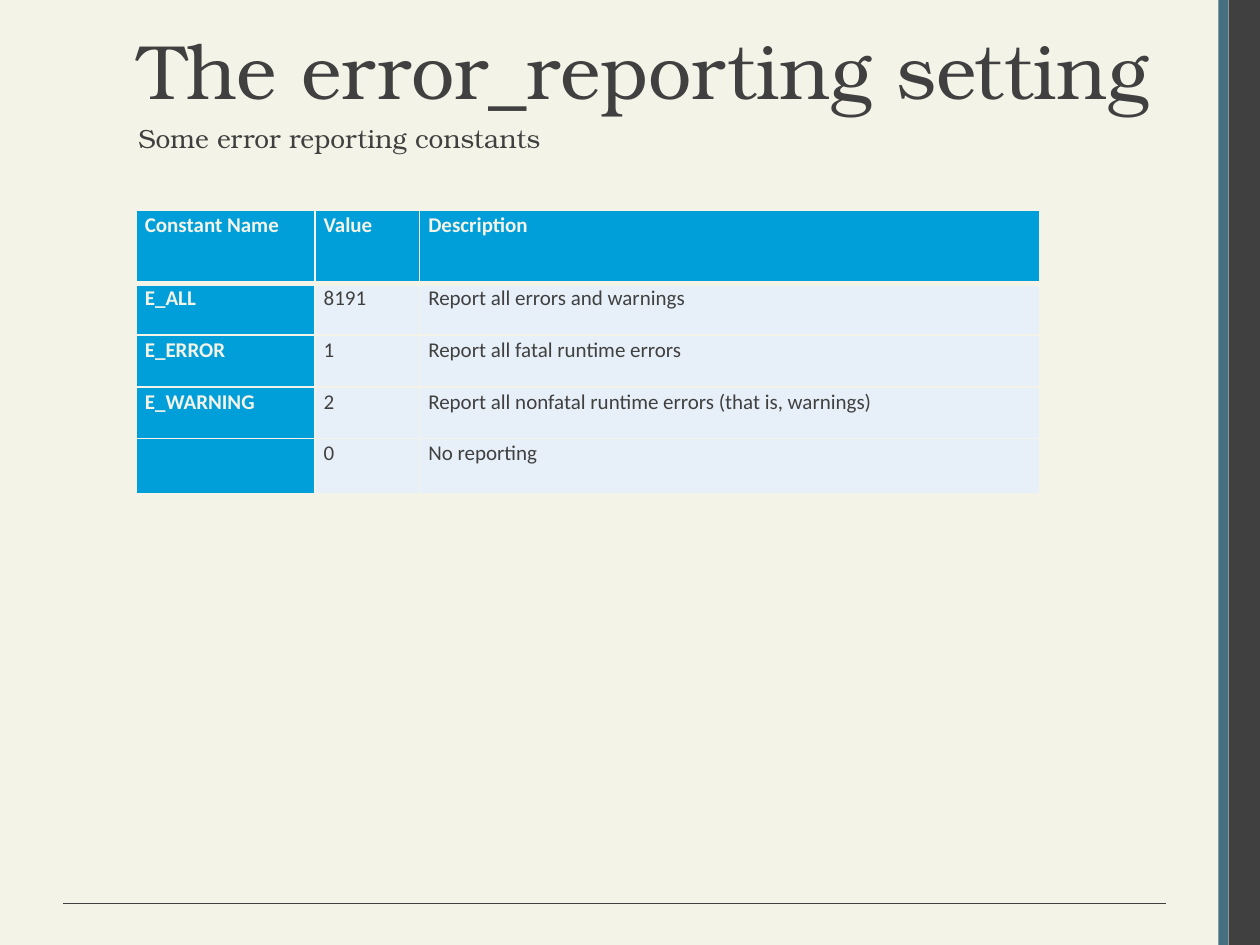
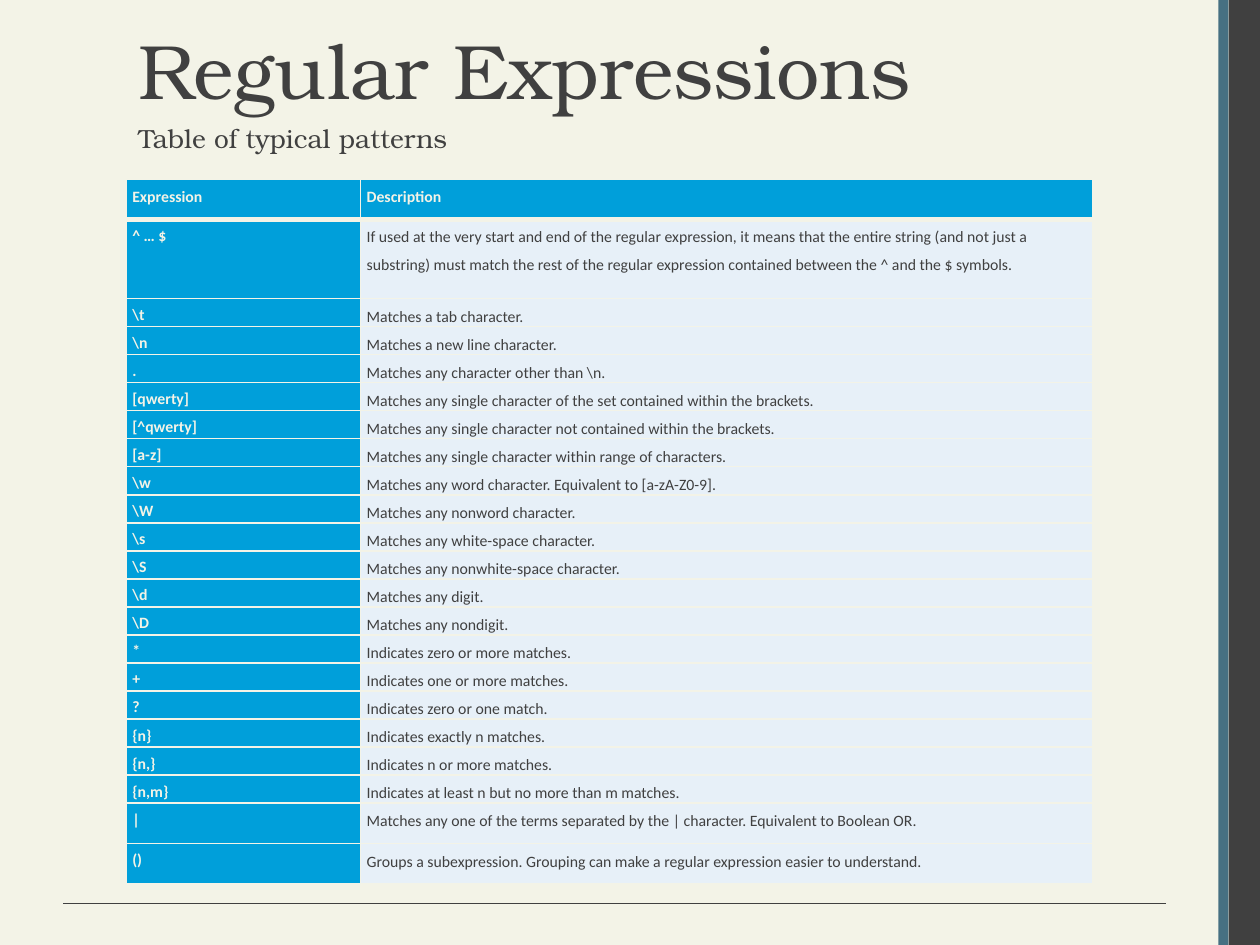
"""Build two reference-table slides on error reporting and regular expressions."""
from lxml.etree import SubElement
from pptx import Presentation
from pptx.dml.color import RGBColor as Rgb
from pptx.enum.shapes import MSO_CONNECTOR as Connector, MSO_SHAPE as Shape
from pptx.enum.text import MSO_ANCHOR as Anchor, PP_ALIGN as Align
from pptx.oxml.ns import qn
from pptx.util import Inches, Pt

COLORS = {"paper": "F3F3E7", "ink": "404040", "accent": "467082",
          "header": "009FDA", "cell": "E7F0F8"}
TITLE = {"name": "TeX Gyre Bonum", "size": Pt(44), "bold": False}
SUBTITLE = {**TITLE, "size": Pt(15)}
CELL = {"name": "Calibri", "bold": False}

ERROR_TABLE = {
    "left": 1.08, "top": 1.67, "columns": [1.42, 0.83, 4.92],
    "heights": [0.58, 0.41, 0.41, 0.41, 0.44],
    "size": 12, "inset": 0.07, "name_spacing": 16,
    "rows": [
        ("Constant Name", "Value", "Description"),
        ("E_ALL", "8191", "Report all errors and warnings"),
        ("E_ERROR", "1", "Report all fatal runtime errors"),
        ("E_WARNING", "2", "Report all nonfatal runtime errors (that is, warnings)"),
        ("", "0", "No reporting"),
    ],
}
PATTERN_TABLE = {
    "left": 1, "top": 1.42, "columns": [1.86, 5.81],
    "heights": [0.32, 0.63] + [0.16] * 18 + [0.32] * 2,
    "size": 9, "inset": 0.05, "name_spacing": 15,
    "rows": [
        ("Expression", "Description"),
        ("^ … $", "If used at the very start and end of the regular expression, "
         "it means that the entire string (and not just a substring) must match "
         "the rest of the regular expression contained between the ^ and the $ symbols."),
        (r"\t", "Matches a tab character."),
        (r"\n", "Matches a new line character."),
        (".", r"Matches any character other than \n."),
        ("[qwerty]", "Matches any single character of the set contained within the brackets."),
        ("[^qwerty]", "Matches any single character not contained within the brackets."),
        ("[a-z]", "Matches any single character within range of characters."),
        (r"\w", "Matches any word character. Equivalent to [a-zA-Z0-9]."),
        (r"\W", "Matches any nonword character."),
        (r"\s", "Matches any white-space character."),
        (r"\S", "Matches any nonwhite-space character."),
        (r"\d", "Matches any digit."),
        (r"\D", "Matches any nondigit."),
        ("*", "Indicates zero or more matches."),
        ("+", "Indicates one or more matches."),
        ("?", "Indicates zero or one match."),
        ("{n}", "Indicates exactly n matches."),
        ("{n,}", "Indicates n or more matches."),
        ("{n,m}", "Indicates at least n but no more than m matches."),
        ("|", "Matches any one of the terms separated by the | character. "
         "Equivalent to Boolean OR."),
        ("()", "Groups a subexpression. Grouping can make a regular expression "
         "easier to understand."),
    ],
}


def color(name):
    """Return the named colour."""
    return Rgb.from_string(COLORS[name])


def set_all(target, values):
    """Set every attribute in values on target."""
    for name, value in values.items():
        setattr(target, name, value)


def add_span(para, text, font, ink="ink"):
    """Add formatted text to a paragraph."""
    span = para.add_run()
    span.text = text
    set_all(span.font, font)
    span.font.color.rgb = color(ink)


def add_text(page, text, area, font):
    """Add a top-anchored, left-aligned text box."""
    box = page.shapes.add_textbox(*map(Inches, area))
    set_all(box.text_frame, {"word_wrap": True, "vertical_anchor": Anchor.TOP})
    para = box.text_frame.paragraphs[0]
    para.alignment = Align.LEFT
    add_span(para, text, font)


def add_band(page, left, width, fill):
    """Add a full-height vertical band."""
    band = page.shapes.add_shape(Shape.RECTANGLE, Inches(left), 0, Inches(width), Inches(7.5))
    band.shadow.inherit = False
    band.fill.solid()
    band.fill.fore_color.rgb = color(fill)
    band.line.fill.background()


def add_rule(page):
    """Add the line along the foot of the slide."""
    ends = map(Inches, (9.25, 7.17, 0.5, 7.17))
    rule = page.shapes.add_connector(Connector.STRAIGHT, *ends)
    rule.line.color.rgb = color("ink")
    rule.line.width = Pt(0.75)
    SubElement(rule.element.spPr, qn("a:effectLst"))


def add_borders(cell, top, bottom):
    """Draw paper-coloured borders, with widths in points."""
    properties = cell._tc.get_or_add_tcPr()
    for side, width in {"L": 1, "R": 1, "T": top, "B": bottom}.items():
        line = SubElement(properties, qn(f"a:ln{side}"), w=str(Pt(width)))
        fill = SubElement(line, qn("a:solidFill"))
        SubElement(fill, qn("a:srgbClr"), val=COLORS["paper"])


def fill_cell(cell, text, row, column, layout):
    """Style one cell by its place in the table and write its text."""
    is_header = row == 0
    is_name = column == 0
    strong = is_header or is_name
    add_borders(cell, top=3 if row == 1 else 1, bottom=3 if is_header else 1)
    cell.fill.solid()
    cell.fill.fore_color.rgb = color("header" if strong else "cell")
    inset = Inches(layout["inset"])
    set_all(cell, {"margin_left": inset, "margin_right": inset, "margin_top": 0,
                   "margin_bottom": 0, "vertical_anchor": Anchor.TOP})
    if text:
        spacing = layout["name_spacing"] if is_name and not is_header else 16
        para = cell.text_frame.paragraphs[0]
        set_all(para, {"line_spacing": Pt(spacing), "space_before": Pt(7)})
        if spacing == 16:
            para.space_after = Pt(7)
        font = {**CELL, "size": Pt(layout["size"]), "bold": strong}
        add_span(para, text, font, "paper" if strong else "ink")


def add_reference_table(page, layout):
    """Add a table with a header row and a column of names."""
    rows, columns, heights = layout["rows"], layout["columns"], layout["heights"]
    area = (layout["left"], layout["top"], sum(columns), sum(heights))
    table = page.shapes.add_table(len(rows), len(columns), *map(Inches, area)).table
    set_all(table, {"first_row": False, "horz_banding": False})
    for column, width in zip(table.columns, columns):
        column.width = Inches(width)
    for row, height in zip(table.rows, heights):
        row.height = Inches(height)
    for row, texts in enumerate(rows):
        for column, text in enumerate(texts):
            fill_cell(table.cell(row, column), text, row, column, layout)


def add_page(deck, title, subtitle, layout):
    """Add a slide with the shared frame, headings and a table."""
    page = deck.slides.add_slide(deck.slide_layouts[6])
    page.background.fill.solid()
    page.background.fill.fore_color.rgb = color("paper")
    add_band(page, 9.75, 0.25, "ink")
    add_band(page, 9.67, 0.08, "accent")
    add_rule(page)
    add_text(page, title, (1, 0.13, 8.5, 1.12), TITLE)
    add_text(page, subtitle, (1, 0.92, 7, 0.33), SUBTITLE)
    add_reference_table(page, layout)


def main():
    """Build and save the deck."""
    deck = Presentation()
    set_all(deck, {"slide_width": Inches(10), "slide_height": Inches(7.5)})
    add_page(deck, "The error_reporting setting", "Some error reporting constants", ERROR_TABLE)
    add_page(deck, "Regular Expressions", "Table of typical patterns", PATTERN_TABLE)
    deck.save("out.pptx")


if __name__ == "__main__":
    main()
